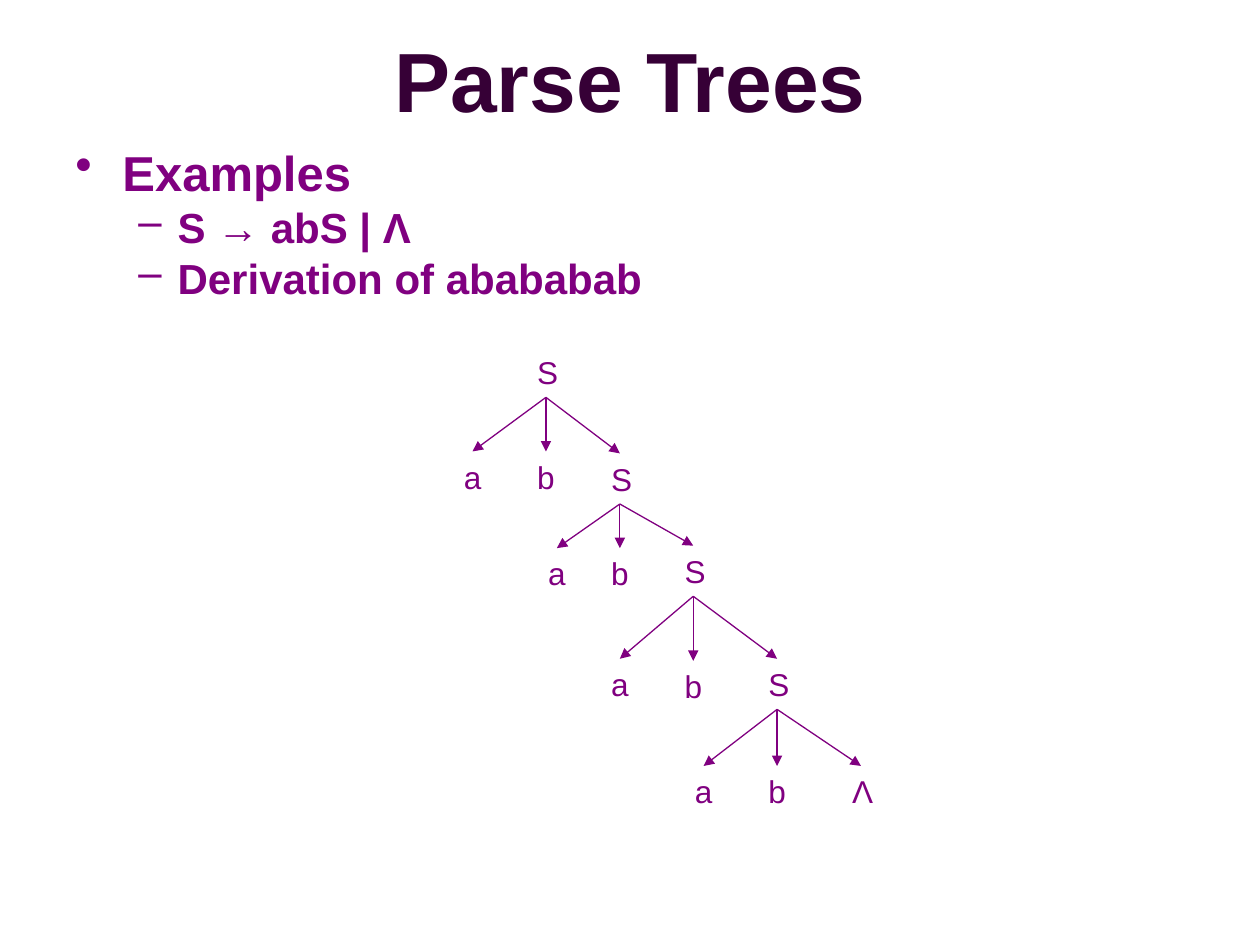
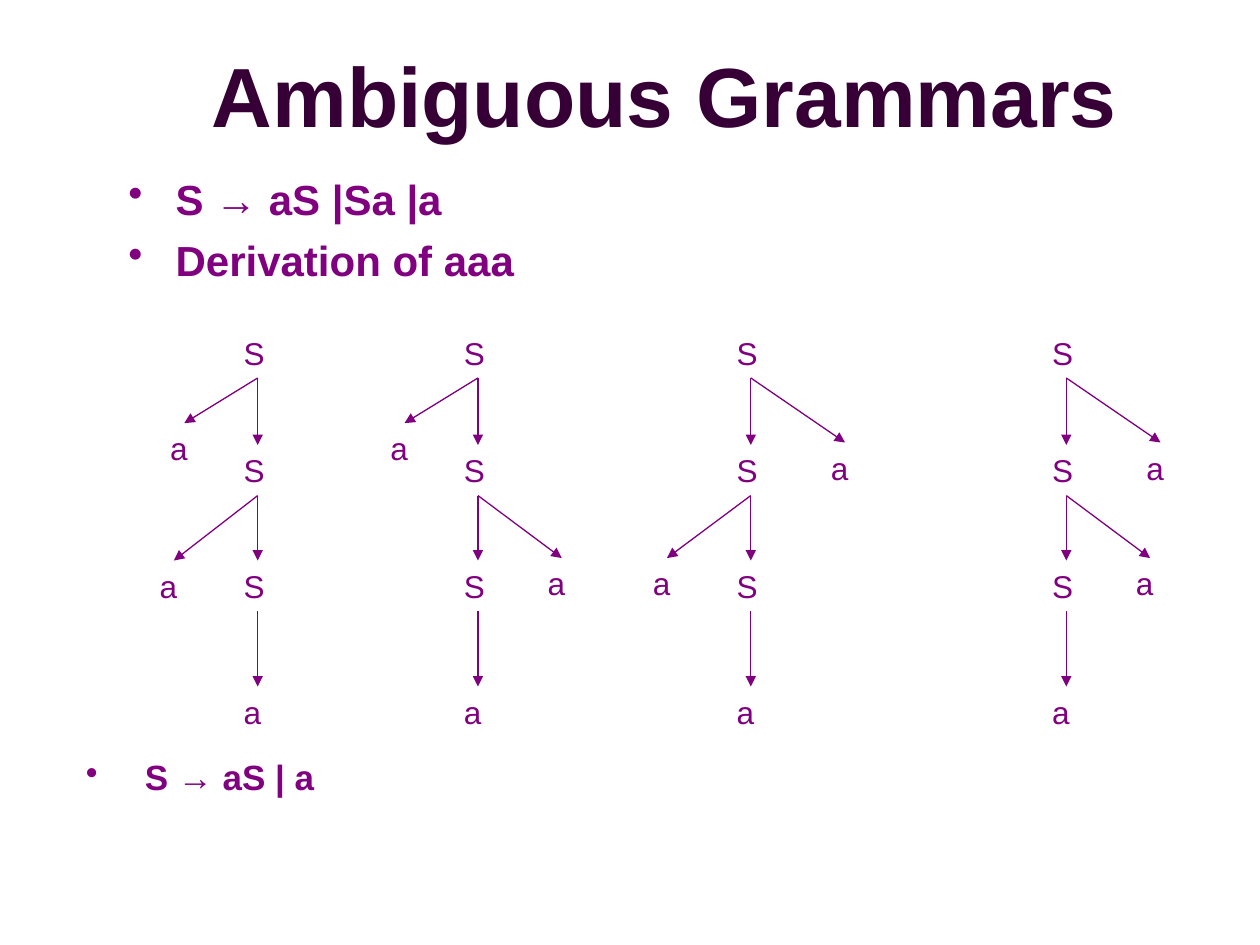
from dataclasses import dataclass

from lxml import etree
from pptx import Presentation
from pptx.dml.color import RGBColor
from pptx.enum.shapes import MSO_CONNECTOR
from pptx.enum.text import MSO_ANCHOR, MSO_AUTO_SIZE, PP_ALIGN
from pptx.oxml.ns import qn
from pptx.util import Cm, Pt

STRAIGHT = MSO_CONNECTOR.STRAIGHT
MIDDLE = MSO_ANCHOR.MIDDLE
NO_AUTOFIT = MSO_AUTO_SIZE.NONE
CENTER = PP_ALIGN.CENTER


@dataclass(frozen=True)
class Theme:
    font: str = "Arial"
    title_color: str = "360036"
    text_color: str = "800080"
    title_size: int = 48
    heading_size: int = 28
    item_size: int = 24
    note_size: int = 20
    node_size: int = 18
    line_width: float = 0.75
    node_height: float = 1.02


THEME = Theme()


def add_text(slide, box, lines, spacing=1.0):
    """Each line is (text, size, bold, bullet, margin, hanging, space before)."""
    shape = slide.shapes.add_textbox(*[Cm(length) for length in box])
    frame = shape.text_frame
    frame.word_wrap = True
    frame.text = "\n".join(line[0] for line in lines)
    for paragraph, line in zip(frame.paragraphs, lines):
        _, size, bold, bullet, margin, hanging, space_before = line
        paragraph.line_spacing = spacing
        paragraph.space_before = Pt(space_before)
        if bullet:
            properties = paragraph._p.get_or_add_pPr()
            properties.set("marL", str(Cm(margin)))
            properties.set("indent", str(-Cm(hanging)))
            color = etree.SubElement(properties, qn("a:buClr"))
            etree.SubElement(color, qn("a:srgbClr"), val=THEME.text_color)
            etree.SubElement(properties, qn("a:buChar"), char=bullet)
        font = paragraph.runs[0].font
        font.name, font.size, font.bold = THEME.font, Pt(size), bold
        font.color.rgb = RGBColor.from_string(THEME.text_color)


def add_branch(slide, parent, child, node_width):
    """Arrow from the bottom centre of a parent to the top centre of a child."""
    _, parent_left, parent_top = parent
    _, child_left, child_top = child
    half = node_width / 2
    connector = slide.shapes.add_connector(
        STRAIGHT, Cm(parent_left + half), Cm(parent_top + THEME.node_height),
        Cm(child_left + half), Cm(child_top))
    connector.line.width = Pt(THEME.line_width)
    connector.line.color.rgb = RGBColor.from_string(THEME.text_color)
    etree.SubElement(connector.line._get_or_add_ln(), qn("a:tailEnd"), type="triangle")
    etree.SubElement(connector._element.spPr, qn("a:effectLst"))


# Derivation of abababab: each S branches into a, b and the next symbol
parent = ("S", 10.58, 6.99)
parse_nodes, parse_branches = [parent], []
for a_left, a_top, b_top, last in [
    (9.1, 9.1, 9.1, ("S", 12.07, 9.14)),
    (10.8, 11.05, 11.05, ("S", 13.55, 11.0)),
    (12.07, 13.28, 13.32, ("S", 15.24, 13.28)),
    (13.76, 15.44, 15.44, ("Λ", 16.93, 15.44)),
]:
    children = [("a", a_left, a_top), ("b", parent[1], b_top), last]
    parse_nodes += children
    parse_branches += [(parent, child) for child in children]
    parent = last

# Four derivations of aaa: a vertical trunk with one side leaf on each upper S
trunk = [("S", 6.6), ("S", 8.97), ("S", 11.3), ("a", 13.84)]
ambiguous_nodes, ambiguous_branches = [], []
for trunk_left, side_leaves in [
    (4.66, [(-1.48, 8.53), (-1.69, 11.3)]),
    (9.1, [(-1.48, 8.53), (1.69, 11.25)]),
    (14.6, [(1.9, 8.92), (-1.69, 11.25)]),
    (20.96, [(1.9, 8.92), (1.69, 11.25)]),
]:
    stem = [(label, trunk_left, top) for label, top in trunk]
    leaves = [("a", trunk_left + shift, top) for shift, top in side_leaves]
    ambiguous_nodes += stem + leaves
    ambiguous_branches += list(zip(stem, stem[1:])) + list(zip(stem, leaves))

# Slide contents: title, title box, text blocks, node width, nodes, branches
slides = [
    ("Parse Trees", (1.27, 0, 22.86, 3.18), [
        ((1.27, 2.97, 22.86, 3.38), [
            ("Examples", THEME.heading_size, True, "•", 0.95, 0.95, 0),
            ("S → abS | Λ", THEME.item_size, True, "–", 2.06, 0.79, 6),
            ("Derivation of abababab", THEME.item_size, True, "–", 2.06, 0.79, 6),
        ], 0.8),
    ], 0.85, parse_nodes, parse_branches),
    ("Ambiguous Grammars", (3.15, 0.38, 20.5, 3.02), [
        ((2.34, 3.38, 20.5, 2.57), [
            ("S → aS |Sa |a", THEME.item_size, True, "•", 0.95, 0.95, 0),
            ("Derivation of aaa", THEME.item_size, True, "•", 0.95, 0.95, 6),
        ], 1.0),
        ((1.48, 15.11, 14.82, 1.12), [
            ("S → aS | a", THEME.note_size, True, "•", 1.19, 1.19, 0),
        ], 1.0),
    ], 1.07, ambiguous_nodes, ambiguous_branches),
]

presentation = Presentation()
presentation.slide_width, presentation.slide_height = Cm(25.4), Cm(19.05)
title_only = presentation.slide_layouts[5]

for title_text, title_box, blocks, node_width, nodes, branches in slides:
    slide = presentation.slides.add_slide(title_only)

    # Title
    title = slide.shapes.title
    title.left, title.top, title.width, title.height = [Cm(n) for n in title_box]
    title.text_frame.text = title_text
    title.text_frame.auto_size = NO_AUTOFIT
    title.text_frame.vertical_anchor = MIDDLE
    paragraph = title.text_frame.paragraphs[0]
    paragraph.alignment = CENTER
    font = paragraph.runs[0].font
    font.name, font.size, font.bold = THEME.font, Pt(THEME.title_size), True
    font.color.rgb = RGBColor.from_string(THEME.title_color)

    # Bulleted text
    for box, lines, spacing in blocks:
        add_text(slide, box, lines, spacing)

    # Trees
    for label, left, top in nodes:
        add_text(slide, (left, top, node_width, THEME.node_height),
                 [(label, THEME.node_size, False, None, 0, 0, 0)])
    for parent, child in branches:
        add_branch(slide, parent, child, node_width)

presentation.save("out.pptx")
